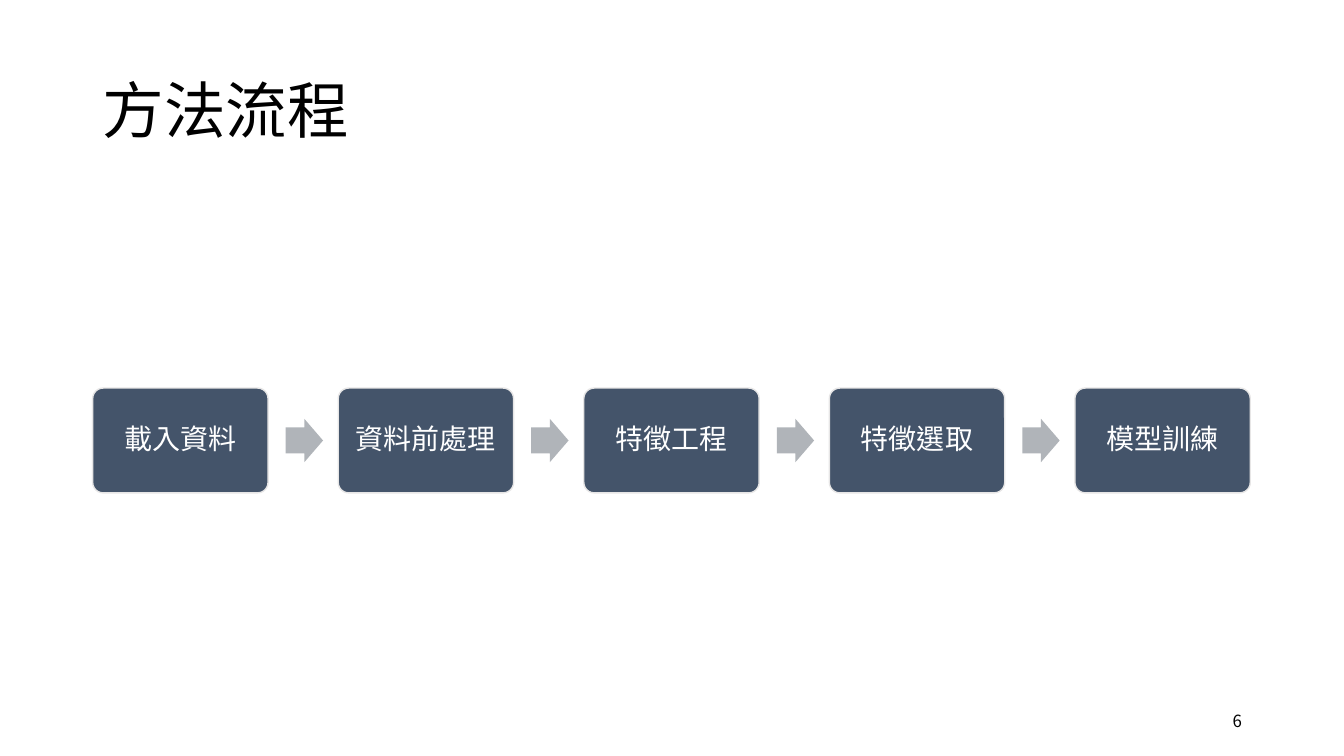
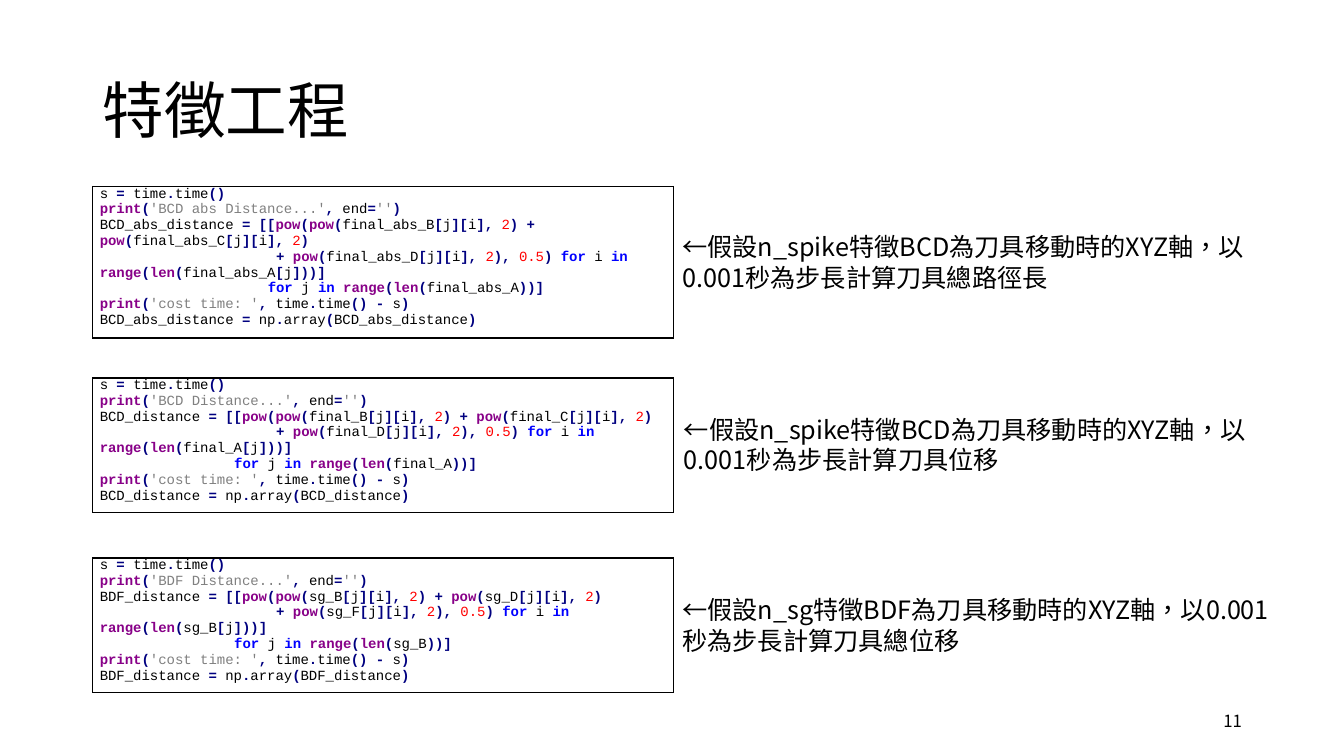
from dataclasses import dataclass
from itertools import groupby
from typing import Iterator

from lxml import etree
from pptx import Presentation
from pptx import util as u
from pptx.dml.color import RGBColor
from pptx.enum import shapes, text
from pptx.oxml.ns import qn

SLIDE_WIDTH, SLIDE_HEIGHT = u.Inches(13.33), u.Inches(7.5)
SANS, MONO = "Noto Sans CJK SC", "Courier New"
BLACK, WHITE = "000000", "FFFFFF"
STEP_FILL, STEP_LINE, ARROW_FILL = "44546A", "E7E6E6", "B0B4B9"
OPERATOR, STRING, NUMBER = "000080", "808080", "FF0000"
KEYWORD_COLORS = dict.fromkeys(("for", "in"), "0000FF") | dict.fromkeys(
    ("print", "pow", "range", "len"), "880088")
CODE_SIZE = 10
CODE_CHARACTER = u.Pt(CODE_SIZE * 0.6)


@dataclass(frozen=True)
class Box:
    """A rectangle in percent of the slide's width and height."""
    left: float
    top: float
    width: float
    height: float

    def lengths(self) -> tuple[int, int, int, int]:
        return (int(SLIDE_WIDTH * self.left / 100), int(SLIDE_HEIGHT * self.top / 100),
                int(SLIDE_WIDTH * self.width / 100), int(SLIDE_HEIGHT * self.height / 100))


@dataclass(frozen=True)
class Feature:
    """One distance computation and the remark beside it."""
    name: str
    label: str
    axes: tuple[str, str, str]
    counted: str
    loop_indent: int
    code_box: Box
    note: str
    note_left: float
    note_top: float


MARGIN = 6.9
TITLE_BOX = Box(MARGIN, 5.33, 86.25, 19.33)
NUMBER_BOX = Box(70.65, 92.67, 22.5, 5.33)
STEPS = ("載入資料", "資料前處理", "特徵工程", "特徵選取", "模型訓練")
STEP_WIDTH, STEP_HEIGHT, STEP_MIDDLE = 13.05, 13.87, 58.27
STEP_PITCH = STEP_WIDTH * 1.4
ARROW_WIDTH, ARROW_HEIGHT = 2.78, 5.73
CODE_WIDTH, NOTE_WIDTH, NOTE_HEIGHT = 43.2, 46.13, 9.47

FEATURES = (
    Feature("BCD_abs_distance", "BCD abs Distance",
            ("final_abs_B", "final_abs_C", "final_abs_D"), "final_abs_A", 20,
            Box(MARGIN, 24.67, CODE_WIDTH, 18.8),
            "←假設n_spike特徵BCD為刀具移動時的XYZ軸，以0.001秒為步長計算刀具總路徑長",
            50.03, 30),
    Feature("BCD_distance", "BCD Distance",
            ("final_B", "final_C", "final_D"), "final_A", 16,
            Box(MARGIN, 50, CODE_WIDTH, 17.8),
            "←假設n_spike特徵BCD為刀具移動時的XYZ軸，以0.001秒為步長計算刀具位移",
            50.15, 54.13),
    Feature("BDF_distance", "BDF Distance",
            ("sg_B", "sg_D", "sg_F"), "sg_B", 16,
            Box(MARGIN, 73.8, CODE_WIDTH, 17.8),
            "←假設n_sg特徵BDF為刀具移動時的XYZ軸，以0.001秒為步長計算刀具總位移",
            50.03, 78),
)


def rgb(color: str) -> RGBColor:
    return RGBColor.from_string(color)


def write(paragraph, content: str, *, size: float = 18, color: str = BLACK,
          font: str = SANS, bold: bool = False, align=text.PP_ALIGN.LEFT,
          spacing: float = 1.0) -> None:
    """Append one formatted run to the paragraph."""
    paragraph.alignment = align
    paragraph.line_spacing = spacing
    run = paragraph.add_run()
    run.text = content
    run.font.size = u.Pt(size)
    run.font.bold = bold
    run.font.name = font
    run.font.color.rgb = rgb(color)
    properties = run._r.get_or_add_rPr()
    properties.set("lang", "zh-TW")
    etree.SubElement(properties, qn("a:ea")).set("typeface", font)


def add_text(slide, box: Box, content: str, *, anchor=text.MSO_ANCHOR.TOP, **style) -> None:
    frame = slide.shapes.add_textbox(*box.lengths()).text_frame
    frame.word_wrap = True
    frame.vertical_anchor = anchor
    write(frame.paragraphs[0], content, **style)


def add_block(slide, preset, box: Box, fill: str, adjustments: tuple[float, ...]):
    shape = slide.shapes.add_shape(preset, *box.lengths())
    shape.shadow.inherit = False
    shape.fill.solid()
    shape.fill.fore_color.rgb = rgb(fill)
    shape.line.fill.background()
    for index, value in enumerate(adjustments):
        shape.adjustments[index] = value
    return shape


def add_step(slide, left: float, label: str) -> None:
    box = Box(left, STEP_MIDDLE - STEP_HEIGHT / 2, STEP_WIDTH, STEP_HEIGHT)
    shape = add_block(slide, shapes.MSO_SHAPE.ROUNDED_RECTANGLE, box, STEP_FILL, (0.1,))
    shape.line.color.rgb = rgb(STEP_LINE)
    shape.line.width = u.Pt(1)
    frame = shape.text_frame
    frame.word_wrap = True
    frame.vertical_anchor = text.MSO_ANCHOR.MIDDLE
    frame.margin_left = frame.margin_right = u.Inches(0.08)
    write(frame.paragraphs[0], label, size=20, color=WHITE,
          align=text.PP_ALIGN.CENTER, spacing=0.9)


def code_lines(feature: Feature) -> list[tuple[int, str]]:
    """Return the indent in characters and the code of each line."""
    name, counted = feature.name, feature.counted
    first, second, third = feature.axes
    return [
        (0, "s = time.time()"),
        (0, f"print('{feature.label}...', end='')"),
        (0, f"{name} = [[pow(pow({first}[j][i], 2) + pow({second}[j][i], 2)"),
        (21, f"+ pow({third}[j][i], 2), 0.5) for i in range(len({counted}[j]))]"),
        (feature.loop_indent, f"for j in range(len({counted}))]"),
        (0, "print('cost time: ', time.time() - s)"),
        (0, f"{name} = np.array({name})"),
    ]


def highlight(line: str) -> Iterator[tuple[str, str, bool]]:
    """Yield each token of a code line with its colour and weight."""
    for index, part in enumerate(line.split("'")):
        if index % 2:
            yield f"'{part}'", STRING, False
            continue

        def in_word(position: int) -> bool:
            character = part[position]
            decimal = character == "." and part[position - 1].isdigit()
            return character.isalnum() or character == "_" or decimal

        for is_word, positions in groupby(range(len(part)), in_word):
            token = "".join(part[position] for position in positions)
            if not is_word:
                yield token, OPERATOR, True
            elif token in KEYWORD_COLORS:
                yield token, KEYWORD_COLORS[token], True
            else:
                yield token, NUMBER if token[0].isdigit() else BLACK, False


def outline_cell(cell) -> None:
    cell.fill.background()
    properties = cell._tc.get_or_add_tcPr()
    for index, side in enumerate(("lnL", "lnR", "lnT", "lnB")):
        line = etree.Element(qn(f"a:{side}"), w=str(u.Pt(1)))
        fill = etree.SubElement(line, qn("a:solidFill"))
        etree.SubElement(fill, qn("a:srgbClr")).set("val", BLACK)
        properties.insert(index, line)


def add_code(slide, feature: Feature) -> None:
    table = slide.shapes.add_table(1, 1, *feature.code_box.lengths()).table
    table.first_row = table.horz_banding = False
    cell = table.cell(0, 0)
    outline_cell(cell)
    cell.margin_left = cell.margin_right = u.Inches(0.07)
    cell.margin_top = cell.margin_bottom = 0
    frame = cell.text_frame
    for index, (indent, line) in enumerate(code_lines(feature)):
        paragraph = frame.add_paragraph() if index else frame.paragraphs[0]
        for token, color, bold in highlight(line):
            write(paragraph, token, size=CODE_SIZE, font=MONO, color=color, bold=bold)
        properties = paragraph._p.get_or_add_pPr()
        properties.set("marL", "0")
        properties.set("indent", str(indent * CODE_CHARACTER))


def add_slide(presentation, title: str, number: int):
    slide = presentation.slides.add_slide(presentation.slide_layouts[6])
    add_text(slide, TITLE_BOX, title, size=44, spacing=0.9, anchor=text.MSO_ANCHOR.MIDDLE)
    add_text(slide, NUMBER_BOX, str(number), size=12, align=text.PP_ALIGN.RIGHT,
             anchor=text.MSO_ANCHOR.MIDDLE)
    return slide


def add_flow_slide(presentation) -> None:
    slide = add_slide(presentation, "方法流程", 6)
    for index, label in enumerate(STEPS):
        left = MARGIN + index * STEP_PITCH
        add_step(slide, left, label)
        if index < len(STEPS) - 1:
            arrow = Box(left + STEP_WIDTH * 1.1, STEP_MIDDLE - ARROW_HEIGHT / 2,
                        ARROW_WIDTH, ARROW_HEIGHT)
            add_block(slide, shapes.MSO_SHAPE.RIGHT_ARROW, arrow, ARROW_FILL, (0.6, 0.5))


def add_feature_slide(presentation) -> None:
    slide = add_slide(presentation, "特徵工程", 11)
    for feature in FEATURES:
        add_code(slide, feature)
        add_text(slide, Box(feature.note_left, feature.note_top, NOTE_WIDTH, NOTE_HEIGHT),
                 feature.note)


def main() -> None:
    presentation = Presentation()
    presentation.slide_width, presentation.slide_height = SLIDE_WIDTH, SLIDE_HEIGHT
    add_flow_slide(presentation)
    add_feature_slide(presentation)
    presentation.save("out.pptx")


if __name__ == "__main__":
    main()
